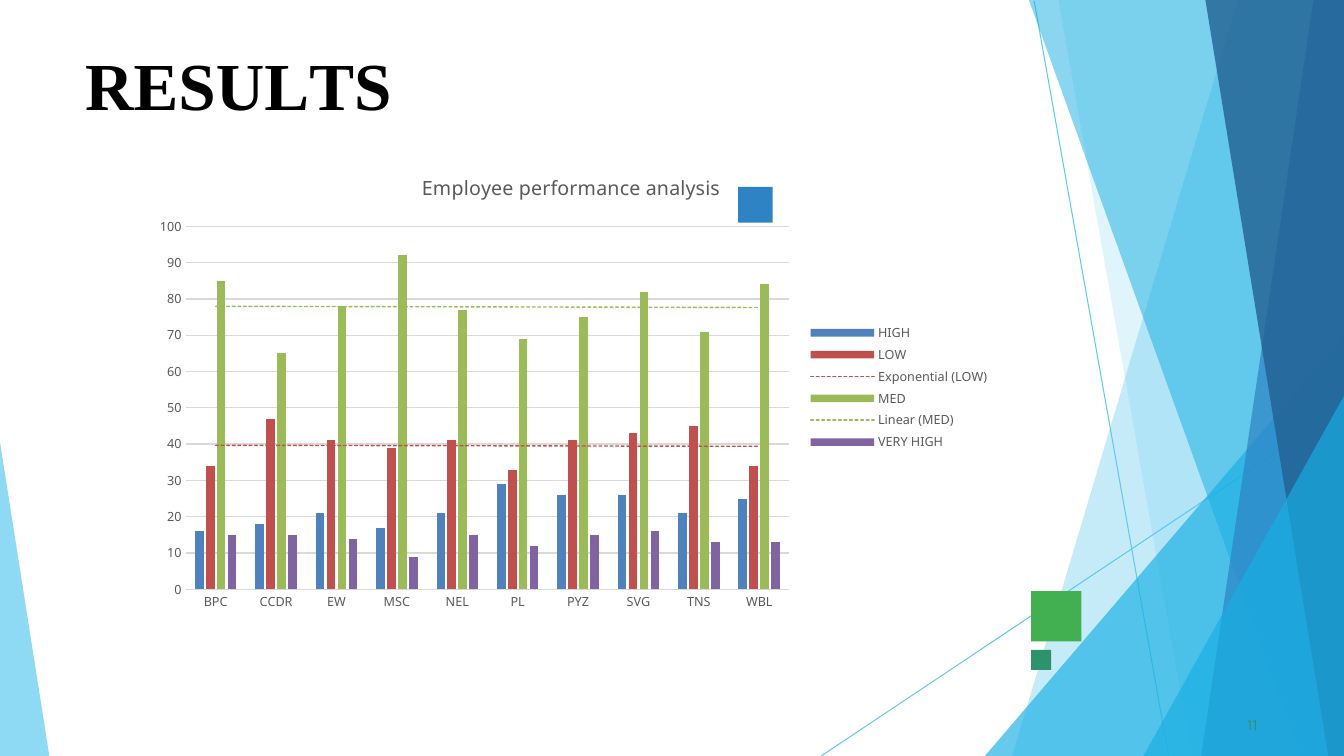
from dataclasses import dataclass

from lxml import etree
from pptx import Presentation
from pptx import util as u
from pptx.chart.data import CategoryChartData
from pptx.dml.color import RGBColor
from pptx.enum import chart as charts, shapes, text
from pptx.oxml import parse_xml
from pptx.oxml.ns import nsdecls, qn

PX = 9525  # EMU in one px of a 1280 x 720 slide
WIDTH, HEIGHT = 1280, 720


@dataclass(frozen=True)
class Theme:
    sky: str = "5FCAEE"
    cyan: str = "17AFE3"
    blue: str = "2D83C3"
    navy: str = "226192"
    green: str = "42AF51"
    teal: str = "2D936B"
    black: str = "000000"
    grey: str = "595959"
    grid: str = "D9D9D9"
    series: tuple = ("4F81BD", "C0504D", "9BBB59", "8064A2")
    title_font: str = "Times New Roman"
    number_font: str = "Karla"
    chart_font: str = "Noto Sans"
    title_size: int = 48
    number_size: int = 11
    chart_title_size: int = 14
    label_size: int = 9


class SlideBuilder:
    def __init__(self, deck, theme):
        self.theme = theme
        self.slide = deck.slides.add_slide(deck.slide_layouts.get_by_name("Title Only"))

    def style_font(self, font, name, size, color, bold=False):
        font.name, font.size, font.bold = name, u.Pt(size), bold
        font.color.rgb = RGBColor.from_string(color)

    def place(self, box, left, top, width, height):
        box.left, box.top = left * PX, top * PX
        box.width, box.height = width * PX, height * PX

    def fill(self, shape, color, opacity=100):
        shape.shadow.inherit = False
        shape.line.fill.background()
        shape.fill.solid()
        shape.fill.fore_color.rgb = RGBColor.from_string(color)
        if opacity < 100:
            solid = shape._element.spPr.find(qn("a:solidFill"))
            etree.SubElement(solid[0], qn("a:alpha"), val=str(opacity * 1000))

    def line(self, start, end, color, weight):
        ends = [value * PX for value in (*start, *end)]
        line = self.slide.shapes.add_connector(shapes.MSO_CONNECTOR.STRAIGHT, *ends)
        line.line.color.rgb = RGBColor.from_string(color)
        line.line.width = u.Pt(weight)
        etree.SubElement(line._element.spPr, qn("a:effectLst"))

    def polygon(self, points, color, opacity):
        builder = self.slide.shapes.build_freeform(*points[0], scale=PX)
        builder.add_line_segments(points[1:], close=True)
        self.fill(builder.convert_to_shape(), color, opacity)

    def rectangle(self, left, top, width, height, color):
        box = self.slide.shapes.add_shape(
            shapes.MSO_SHAPE.RECTANGLE, left * PX, top * PX, width * PX, height * PX)
        self.fill(box, color)

    def set_text(self, box, spans, inset_left, space_before, **font):
        """Fill a box with one paragraph of (text, letter spacing in 1/100 pt) spans."""
        frame = box.text_frame
        frame.word_wrap = True
        frame.auto_size = text.MSO_AUTO_SIZE.SHAPE_TO_FIT_TEXT
        frame.vertical_anchor = text.MSO_ANCHOR.TOP
        frame.margin_left, frame.margin_top = inset_left * PX, PX
        frame.margin_right = frame.margin_bottom = 0
        para = frame.paragraphs[0]
        para.alignment = text.PP_ALIGN.LEFT
        para.space_before = u.Pt(space_before)
        self.style_font(para.font, **font)
        for words, spacing in spans:
            span = para.add_run()
            span.text = words
            span._r.get_or_add_rPr().set("spc", str(spacing))

    def title(self, spans, *bounds):
        box = self.slide.shapes.title
        self.place(box, *bounds)
        self.set_text(box, spans, 1, 1, name=self.theme.title_font,
                      size=self.theme.title_size, color=self.theme.black, bold=True)

    def page_number(self, number, *bounds):
        box = self.slide.shapes.add_textbox(*(value * PX for value in bounds))
        self.set_text(box, [(number, 10)], 4, 0.6, name=self.theme.number_font,
                      size=self.theme.number_size, color=self.theme.teal)

    def trendline(self, series, kind, color):
        trend = parse_xml(
            f'<c:trendline {nsdecls("c", "a")}><c:spPr><a:ln w="12700" cap="rnd">'
            f'<a:solidFill><a:srgbClr val="{color}"/></a:solidFill>'
            f'<a:prstDash val="sysDash"/></a:ln></c:spPr><c:trendlineType val="{kind}"/>'
            '<c:dispRSqr val="0"/><c:dispEq val="0"/></c:trendline>')
        series._element.find(qn("c:cat")).addprevious(trend)

    def column_chart(self, title, categories, values, trends, *bounds):
        theme = self.theme
        data = CategoryChartData()
        data.categories = categories
        for name, numbers in values.items():
            data.add_series(name, numbers)
        chart = self.slide.shapes.add_chart(
            charts.XL_CHART_TYPE.COLUMN_CLUSTERED,
            *(value * PX for value in bounds), data).chart
        self.style_font(chart.font, theme.chart_font, theme.label_size, theme.grey)

        chart.has_title = True
        chart.chart_title.include_in_layout = False
        para = chart.chart_title.text_frame.paragraphs[0]
        para.text = title
        self.style_font(para.font, theme.chart_font, theme.chart_title_size, theme.grey)

        chart.has_legend = True
        chart.legend.position = charts.XL_LEGEND_POSITION.RIGHT
        chart.legend.include_in_layout = False

        for axis in (chart.category_axis, chart.value_axis):
            axis.major_tick_mark = axis.minor_tick_mark = charts.XL_TICK_MARK.NONE
        value_axis = chart.value_axis
        value_axis.minimum_scale, value_axis.maximum_scale = 0, 100
        value_axis.major_unit = 10
        value_axis.format.line.fill.background()
        for rule in (chart.category_axis.format.line, value_axis.major_gridlines.format.line):
            rule.color.rgb = RGBColor.from_string(theme.grid)
            rule.width = u.Pt(1)

        plot = chart.plots[0]
        plot.vary_by_categories = False
        plot.gap_width, plot.overlap = 219, -27
        for series, color in zip(plot.series, theme.series):
            series.format.fill.solid()
            series.format.fill.fore_color.rgb = RGBColor.from_string(color)
            if series.name in trends:
                self.trendline(series, trends[series.name], color)


def main():
    deck = Presentation()
    deck.slide_width, deck.slide_height = WIDTH * PX, HEIGHT * PX
    theme = Theme()
    page = SlideBuilder(deck, theme)

    page.line((985, 1), (1113, HEIGHT), theme.sky, 0.75)
    page.line((WIDTH, 388), (782, HEIGHT), theme.sky, 0.75)

    # Bands that reach the right edge: top, x at the top, x at the bottom
    for top, top_x, bottom_x, color, opacity in (
        (0, 1179, 964, theme.sky, 36),
        (0, 1008, 1135, theme.sky, 20),
        (320, WIDTH, 938, theme.cyan, 66),
        (0, 980, 1239, theme.cyan, 50),
        (0, 1251, 1144, theme.blue, 70),
        (0, 1148, 1265, theme.navy, 80),
        (377, WIDTH, 1089, theme.cyan, 66),
    ):
        page.polygon([(WIDTH, top), (top_x, top), (bottom_x, HEIGHT), (WIDTH, HEIGHT)],
                     color, opacity)
    page.polygon([(0, 421), (0, HEIGHT), (47, HEIGHT)], theme.sky, 70)

    page.rectangle(982, 563, 48, 48, theme.green)
    page.rectangle(703, 178, 33, 34, theme.blue)
    page.rectangle(982, 619, 19, 19, theme.teal)

    page.title([("R", 0), ("E", -40), ("S", 10), ("U", -30), ("L", -400), ("TS", 0)],
               80, 40, 385, 79)
    page.page_number("11", 1184, 680, 24, 20)
    page.column_chart(
        "Employee performance analysis",
        ["BPC", "CCDR", "EW", "MSC", "NEL", "PL", "PYZ", "SVG", "TNS", "WBL"],
        {
            "HIGH": (16, 18, 21, 17, 21, 29, 26, 26, 21, 25),
            "LOW": (34, 47, 41, 39, 41, 33, 41, 43, 45, 34),
            "MED": (85, 65, 78, 92, 77, 69, 75, 82, 71, 84),
            "VERY HIGH": (15, 15, 14, 9, 15, 12, 15, 16, 13, 13),
        },
        {"LOW": "exp", "MED": "linear"},
        136, 147, 816, 444)
    deck.save("out.pptx")


if __name__ == "__main__":
    main()
